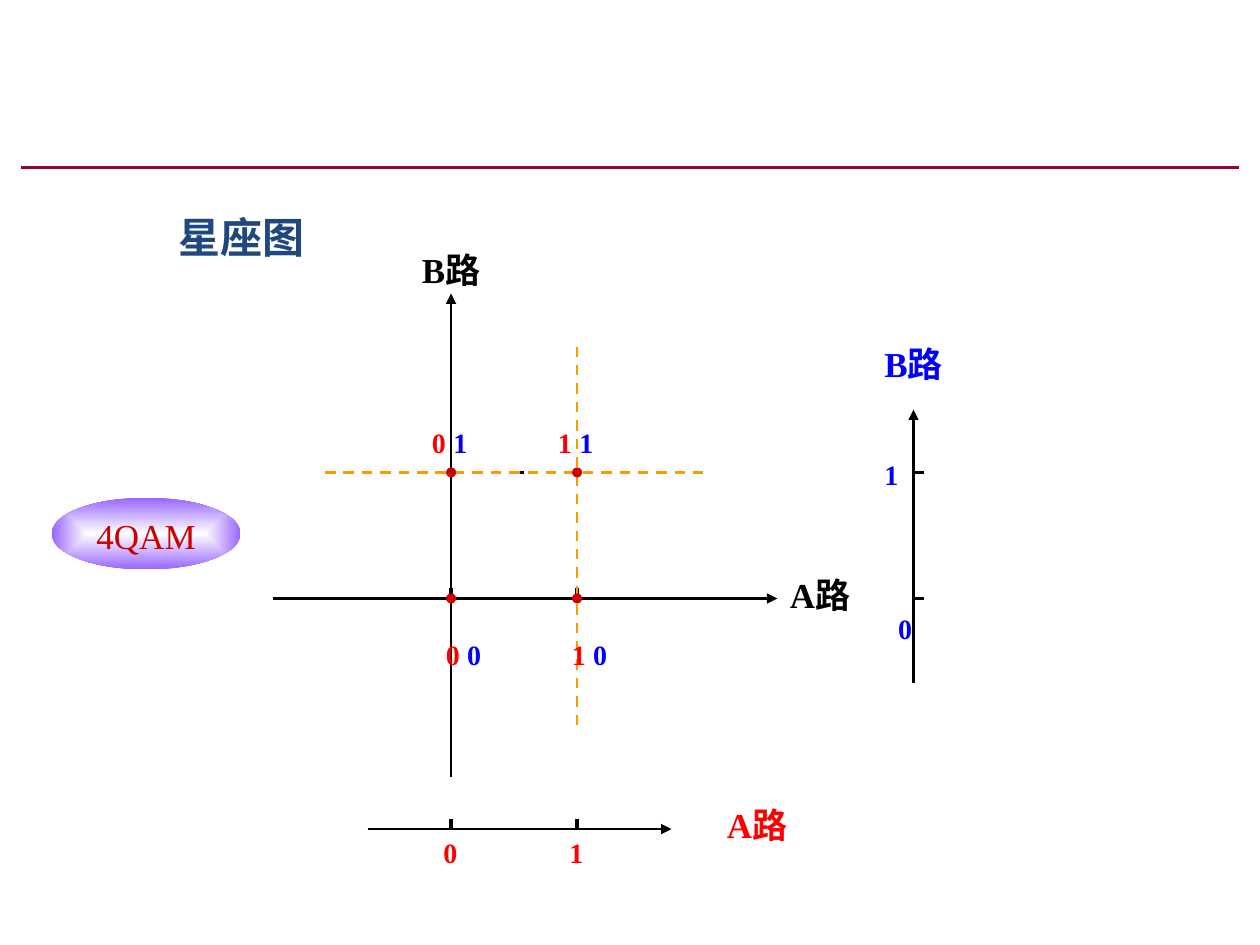
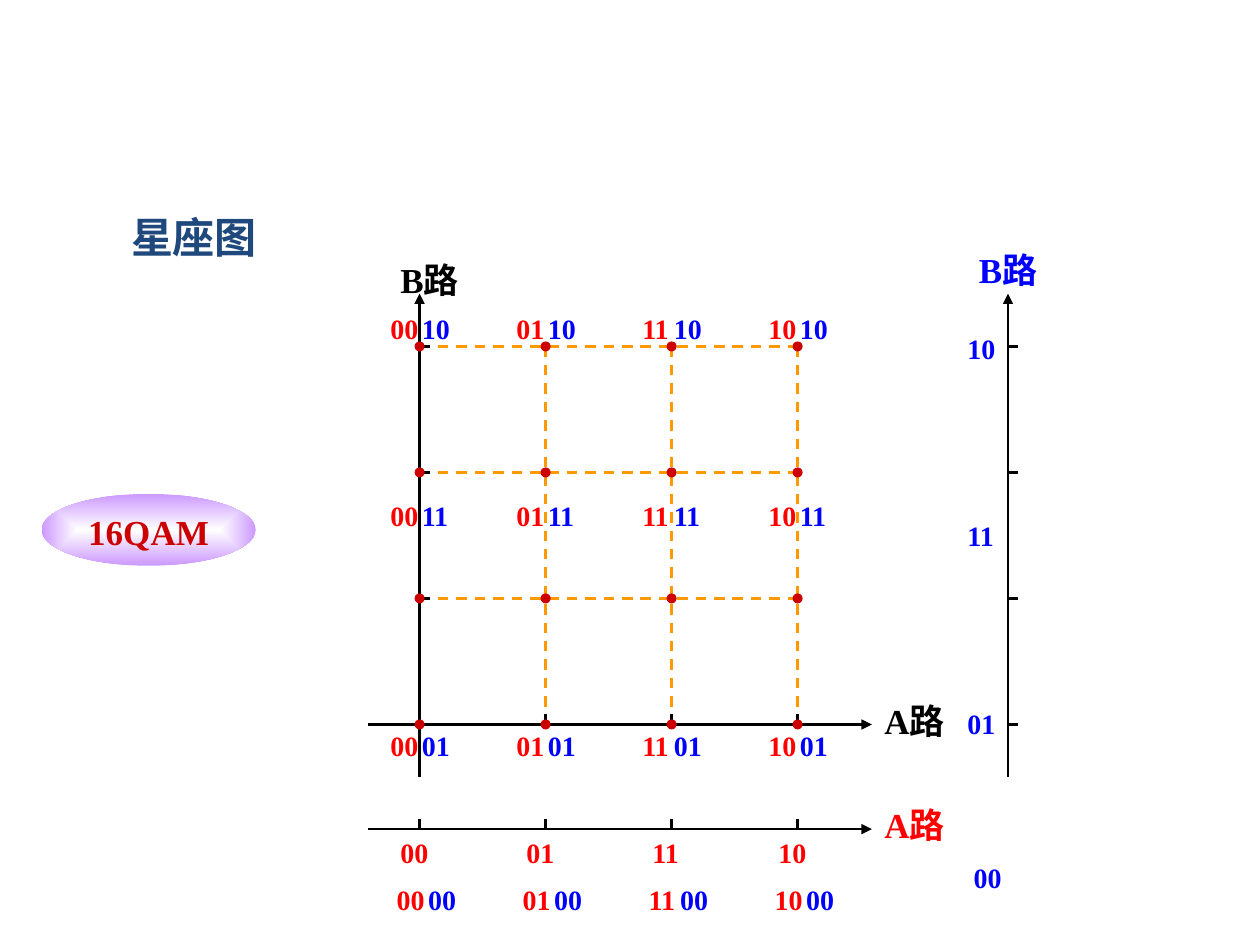
from lxml import etree
from pptx import Presentation
from pptx.dml.color import RGBColor
from pptx.enum.dml import MSO_LINE
from pptx.enum.shapes import MSO_CONNECTOR, MSO_SHAPE
from pptx.enum.text import MSO_ANCHOR, MSO_AUTO_SIZE, PP_ALIGN
from pptx.oxml.ns import qn
from pptx.util import Inches, Pt

STRAIGHT = MSO_CONNECTOR.STRAIGHT
OVAL = MSO_SHAPE.OVAL
ROUNDED = MSO_SHAPE.ROUNDED_RECTANGLE
DASH = MSO_LINE.DASH
CENTER = PP_ALIGN.CENTER
MIDDLE = MSO_ANCHOR.MIDDLE
TOP = MSO_ANCHOR.TOP
GROW = MSO_AUTO_SIZE.SHAPE_TO_FIT_TEXT

COLORS = {
    "axis": "000000",
    "grid": "FF9900",
    "point": "CC0000",
    "a": "FF0000",
    "b": "0000FF",
    "heading": "1F497D",
    "rule": "990033",
    "white": "FFFFFF",
    "violet": "9966FF",
    "lilac": "CC99FF",
}
LATIN = "Times New Roman"
CJK = "Noto Sans CJK SC"
STEP = 1      # distance between neighbouring levels
TICK = 0.08
POINT = 0.08  # diameter of a constellation point


def rgb(color):
    """Return the named colour."""
    return RGBColor.from_string(COLORS[color])


def style(paragraph, size, color, bold=True, font=LATIN):
    """Set the font of a whole paragraph."""
    paragraph.font.name = font
    paragraph.font.size = Pt(size)
    paragraph.font.bold = bold
    paragraph.font.color.rgb = rgb(color)


def add_line(slide, start, end, color="axis", width=1.5, head=None, tail=None):
    """Draw a straight line, with optional ends, and return it."""
    line = slide.shapes.add_connector(
        STRAIGHT, *(Inches(value) for value in (*start, *end)))
    line.line.color.rgb = rgb(color)
    line.line.width = Pt(width)
    outline = line.line._get_or_add_ln()
    for tag, kind in (("a:headEnd", head), ("a:tailEnd", tail)):
        if kind:
            etree.SubElement(outline, qn(tag), type=kind)
    etree.SubElement(line._element.spPr, qn("a:effectLst"))
    return line


def add_shape(slide, kind, box):
    """Add a preset shape without shadow or outline and return it."""
    shape = slide.shapes.add_shape(kind, *map(Inches, box))
    shape.shadow.inherit = False
    shape.line.fill.background()
    return shape


def add_text(slide, box, lines, size, color, gaps=(), last_indent=0, tabs=0):
    """Write lines with the given gaps in points; the last may be indented."""
    frame = slide.shapes.add_textbox(*map(Inches, box)).text_frame
    frame.word_wrap = True
    frame.auto_size = GROW
    for i, text in enumerate(lines):
        paragraph = frame.paragraphs[0] if i == 0 else frame.add_paragraph()
        paragraph.text = text
        style(paragraph, size, color)
        if i:
            paragraph.space_before = Pt(gaps[i - 1])
    properties = paragraph._p.get_or_add_pPr()
    if last_indent:
        properties.set("marL", str(Inches(last_indent)))
    if tabs:
        stops = etree.Element(qn("a:tabLst"))
        for i in range(tabs):
            etree.SubElement(stops, qn("a:tab"), algn="l",
                             pos=str(Inches((i + 1) * STEP)))
        properties.find(qn("a:defRPr")).addprevious(stops)


def axis_name(slide, left, top, text, color):
    """Name an axis."""
    add_text(slide, (left, top, 0.75, 0.43), [text], 20, color)


def heading(slide, left, width):
    """Put the slide heading in an unfilled rounded box."""
    box = add_shape(slide, ROUNDED, (left, 1.67, width, 0.42))
    box.fill.background()
    frame = box.text_frame
    frame.word_wrap = False
    frame.vertical_anchor = MIDDLE
    paragraph = frame.paragraphs[0]
    paragraph.text = "星座图"
    paragraph.alignment = CENTER
    style(paragraph, 24, "heading", font=CJK)


def badge(slide, box, text, edge, bold):
    """Name the modulation in an ellipse that fades to white inside."""
    ellipse = add_shape(slide, OVAL, box)
    ellipse.fill.gradient()
    for stop, color in zip(ellipse.fill.gradient_stops, ("white", edge)):
        stop.color.rgb = rgb(color)
    gradient = ellipse._element.spPr.find(qn("a:gradFill"))
    gradient.remove(gradient.find(qn("a:lin")))
    shade = etree.SubElement(gradient, qn("a:path"))
    shade.set("path", "shape")
    etree.SubElement(shade, qn("a:fillToRect"),
                     l="50000", t="50000", r="50000", b="50000")
    frame = ellipse.text_frame
    frame.vertical_anchor = TOP
    paragraph = frame.paragraphs[0]
    paragraph.text = text
    paragraph.alignment = CENTER
    style(paragraph, 20, "point", bold)


def a_axis(slide, left, y, length, ticks):
    """Draw a horizontal axis with ticks above it."""
    add_line(slide, (left, y), (left + length, y), tail="triangle")
    for x in ticks:
        add_line(slide, (x, y - TICK), (x, y), width=2)


def b_axis(slide, x, top, length, ticks):
    """Draw a vertical axis with ticks to its right."""
    add_line(slide, (x, top), (x, top + length), head="triangle")
    for y in ticks:
        add_line(slide, (x, y), (x + TICK, y), width=2)


def grid(slide, rows, columns, left, top):
    """Draw dashed lines, three steps long, through the levels."""
    span = 3 * STEP
    for y in rows:
        add_line(slide, (left, y), (left + span, y), "grid").line.dash_style = DASH
    for x in columns:
        add_line(slide, (x, top), (x, top + span), "grid").line.dash_style = DASH


def points(slide, columns, rows):
    """Mark every constellation point with a dot centred on it."""
    for x in columns:
        for y in rows:
            dot = add_shape(slide, OVAL,
                            (x - POINT / 2, y - POINT / 2, POINT, POINT))
            dot.fill.solid()
            dot.fill.fore_color.rgb = rgb("point")


def codes(slide, box, a_levels, b_levels, offset, gaps, last_indent):
    """Write the A bits and B bits of each column of points."""
    left, top, width, height = box
    for i, a_bits in enumerate(a_levels):
        x = left + i * STEP
        add_text(slide, (x, top, width, height), [a_bits] * len(b_levels),
                 16, "a", gaps, last_indent)
        add_text(slide, (x + offset, top, width, height), b_levels,
                 16, "b", gaps, last_indent)


def a_levels_row(slide, left, width, levels):
    """Write the levels under the separate A axis."""
    add_text(slide, (left, 6.58, width, 0.37), ["\t".join(levels)],
             16, "a", tabs=len(levels) - 1)


def qam4(slide):
    """Build the 4QAM slide."""
    columns, rows = [3.58, 4.58], [3.75, 4.75]
    a_levels, b_levels = ["0", "1"], ["1", "0"]

    b_axis(slide, columns[0], 2.33, 3.84, rows)
    axis_name(slide, 3.25, 1.92, "B路", "axis")
    a_axis(slide, 2.17, rows[-1], 4, columns)
    axis_name(slide, 6.17, 4.5, "A路", "axis")
    add_line(slide, (4.08, rows[0]), (4.08 + TICK, rows[0]), width=2)

    a_axis(slide, 2.92, 6.58, 2.41, columns)
    axis_name(slide, 5.67, 6.33, "A路", "a")
    a_levels_row(slide, 3.42, 1.5, a_levels)
    b_axis(slide, 7.25, 3.25, 2.17, rows)
    axis_name(slide, 6.92, 2.67, "B路", "b")
    add_text(slide, (6.92, 3.58, 0.5, 1.36), b_levels, 16, "b", [69], 0.11)

    grid(slide, rows[:1], columns[1:], 2.58, 2.75)
    codes(slide, (3.33, 3.33, 0.5, 1.8), a_levels, b_levels, 0.17, [102], 0.11)
    points(slide, columns, rows)
    badge(slide, (0.41, 3.95, 1.5, 0.57), "4QAM", "violet", False)
    heading(slide, 1.08, 1.67)
    add_line(slide, (0.17, 1.33), (9.83, 1.33), "rule", 2)


def qam16(slide):
    """Build the 16QAM slide."""
    columns = [3.33 + i * STEP for i in range(4)]
    rows = [2.75 + i * STEP for i in range(4)]
    a_levels, b_levels = ["00", "01", "11", "10"], ["10", "11", "01", "00"]

    grid(slide, rows, columns, columns[0], rows[0])
    codes(slide, (3, 2.42, 0.5, 3.7), a_levels, b_levels,
          0.25, [88, 112, 69], 0.05)
    a_axis(slide, 2.92, rows[-1], 4, columns)
    axis_name(slide, 6.92, 5.5, "A路", "axis")
    b_axis(slide, columns[0], 2.33, 3.84, rows)
    axis_name(slide, 3.08, 2, "B路", "axis")
    points(slide, columns, rows)

    b_axis(slide, 8, 2.33, 3.84, rows)
    axis_name(slide, 7.67, 1.92, "B路", "b")
    add_text(slide, (7.58, 2.58, 0.5, 3.34), b_levels, 16, "b",
             [88, 88, 69], 0.05)
    a_axis(slide, 2.92, 6.58, 4, columns)
    axis_name(slide, 6.92, 6.33, "A路", "a")
    a_levels_row(slide, 3.08, 4, a_levels)
    badge(slide, (0.33, 3.92, 1.7, 0.57), "16QAM", "lilac", True)
    heading(slide, 0.75, 1.58)


def main():
    """Build and save the presentation."""
    deck = Presentation()
    deck.slide_width, deck.slide_height = Inches(10), Inches(7.5)
    blank = deck.slide_layouts[6]
    for build in (qam4, qam16):
        build(deck.slides.add_slide(blank))
    deck.save("out.pptx")


main()
